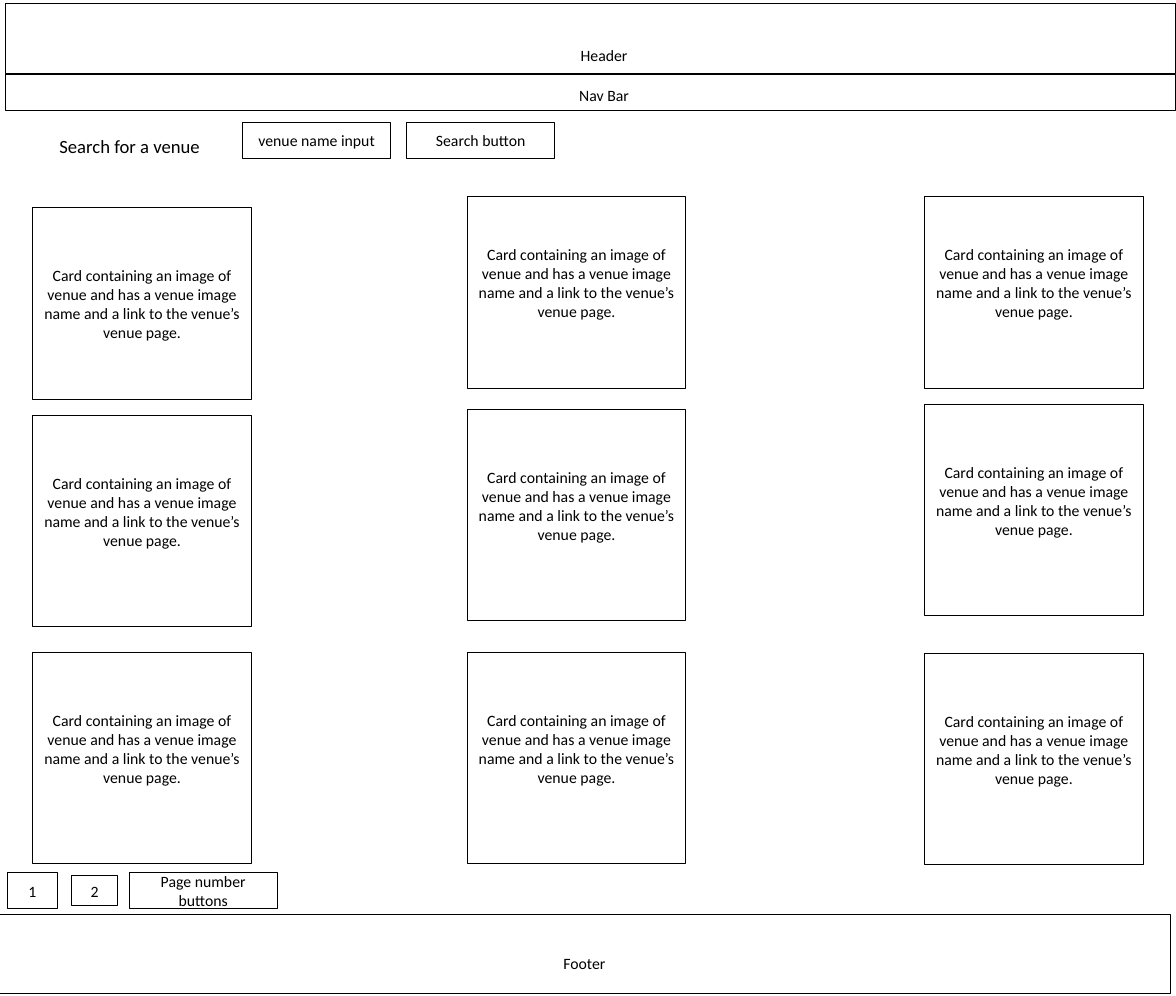
import dataclasses

import pptx
import pptx.dml.color
import pptx.enum.shapes
import pptx.enum.text
import pptx.util

Cm = pptx.util.Cm
Pt = pptx.util.Pt
ANCHOR = pptx.enum.text.MSO_ANCHOR
BLACK = pptx.dml.color.RGBColor(0, 0, 0)
FONT = "Calibri"
TEXT_SIZE = 15.2
LINE_HEIGHT = 0.65
TITLE_ONLY_LAYOUT = 5
PAGE_WIDTH = Pt(1134)
PAGE_HEIGHT = Pt(960)

CARD_TEXT = (
    "Card containing an image of venue and has a venue image name "
    "and a link to the venue’s venue page."
)
CARD_WIDTH = 7.43
CARD_HEIGHTS = (6.53, 7.17, 7.17)
CARD_COLUMNS = {
    1.12: (7.06, 14.13, 22.2),
    15.9: (6.68, 13.93, 22.2),
    31.46: (6.68, 13.77, 22.23),
}


@dataclasses.dataclass(frozen=True)
class Box:
    left: float
    top: float
    width: float
    height: float
    text: str = ""
    side_inset: float = 0.2
    top_inset: float = 0.1
    bottom_inset: float = 0.1

    def bounds(self) -> tuple:
        return Cm(self.left), Cm(self.top), Cm(self.width), Cm(self.height)


BARS = (
    Box(0.18, 0.11, 39.82, 2.39),
    Box(0.18, 2.54, 39.82, 1.22),
    Box(0, 31.1, 39.82, 2.67),
)
BAR_LABELS = (
    Box(14.24, 1.44, 12.62, 0.91, "Header"),
    Box(14.24, 2.78, 12.62, 0.91, "Nav Bar"),
    Box(13.57, 32.29, 12.62, 0.91, "Footer"),
)
CONTROLS = (
    Box(8.26, 4.17, 5.03, 1.22, "venue name input"),
    Box(13.84, 4.17, 5.03, 1.22, "Search button"),
    Box(0.25, 29.68, 1.71, 1.22, "1"),
    Box(2.44, 29.78, 1.56, 1.02, "2"),
    Box(4.4, 29.68, 5.03, 1.22, "Page number buttons"),
)
SEARCH_TITLE = Box(1.73, 4.47, 5.36, 1.02, "Search for a venue")


def write_text(shape, text: str, *, size: float = TEXT_SIZE,
               anchor=ANCHOR.MIDDLE, wrap: bool = True,
               grow: bool = False) -> None:
    frame = shape.text_frame
    frame.word_wrap = wrap
    frame.vertical_anchor = anchor
    if grow:
        frame.auto_size = pptx.enum.text.MSO_AUTO_SIZE.SHAPE_TO_FIT_TEXT
    para = frame.paragraphs[0]
    para.alignment = pptx.enum.text.PP_ALIGN.CENTER
    span = para.add_run()
    span.text = text
    span.font.name = FONT
    span.font.size = Pt(size)
    span.font.color.rgb = BLACK


def draw_box(page, box: Box) -> None:
    shape = page.shapes.add_shape(
        pptx.enum.shapes.MSO_SHAPE.RECTANGLE, *box.bounds())
    shape.shadow.inherit = False
    shape.fill.background()
    shape.line.color.rgb = BLACK
    shape.line.width = Pt(1)
    if box.text:
        frame = shape.text_frame
        frame.margin_left = frame.margin_right = Cm(box.side_inset)
        frame.margin_top = Cm(box.top_inset)
        frame.margin_bottom = Cm(box.bottom_inset)
        write_text(shape, box.text)


def draw_label(page, box: Box) -> None:
    label = page.shapes.add_textbox(*box.bounds())
    write_text(label, box.text, anchor=ANCHOR.TOP, grow=True)


def draw_title(page, box: Box) -> None:
    title = page.shapes.title
    title.left, title.top, title.width, title.height = box.bounds()
    write_text(title, box.text, size=18, anchor=ANCHOR.TOP,
               wrap=False, grow=True)


def venue_cards() -> list[Box]:
    cards = []
    for column, (left, tops) in enumerate(CARD_COLUMNS.items()):
        for row, (top, height) in enumerate(zip(tops, CARD_HEIGHTS)):
            side, inset = (0.25, 0.13) if row else (0.2, 0.1)
            lift = LINE_HEIGHT if row or column else 0
            cards.append(Box(left, top, CARD_WIDTH, height, CARD_TEXT,
                             side, inset, inset + lift))
    return cards


def main() -> None:
    deck = pptx.Presentation()
    deck.slide_width = PAGE_WIDTH
    deck.slide_height = PAGE_HEIGHT
    page = deck.slides.add_slide(deck.slide_layouts[TITLE_ONLY_LAYOUT])
    draw_title(page, SEARCH_TITLE)
    for box in (*BARS, *venue_cards(), *CONTROLS):
        draw_box(page, box)
    for box in BAR_LABELS:
        draw_label(page, box)
    deck.save("out.pptx")


if __name__ == "__main__":
    main()
